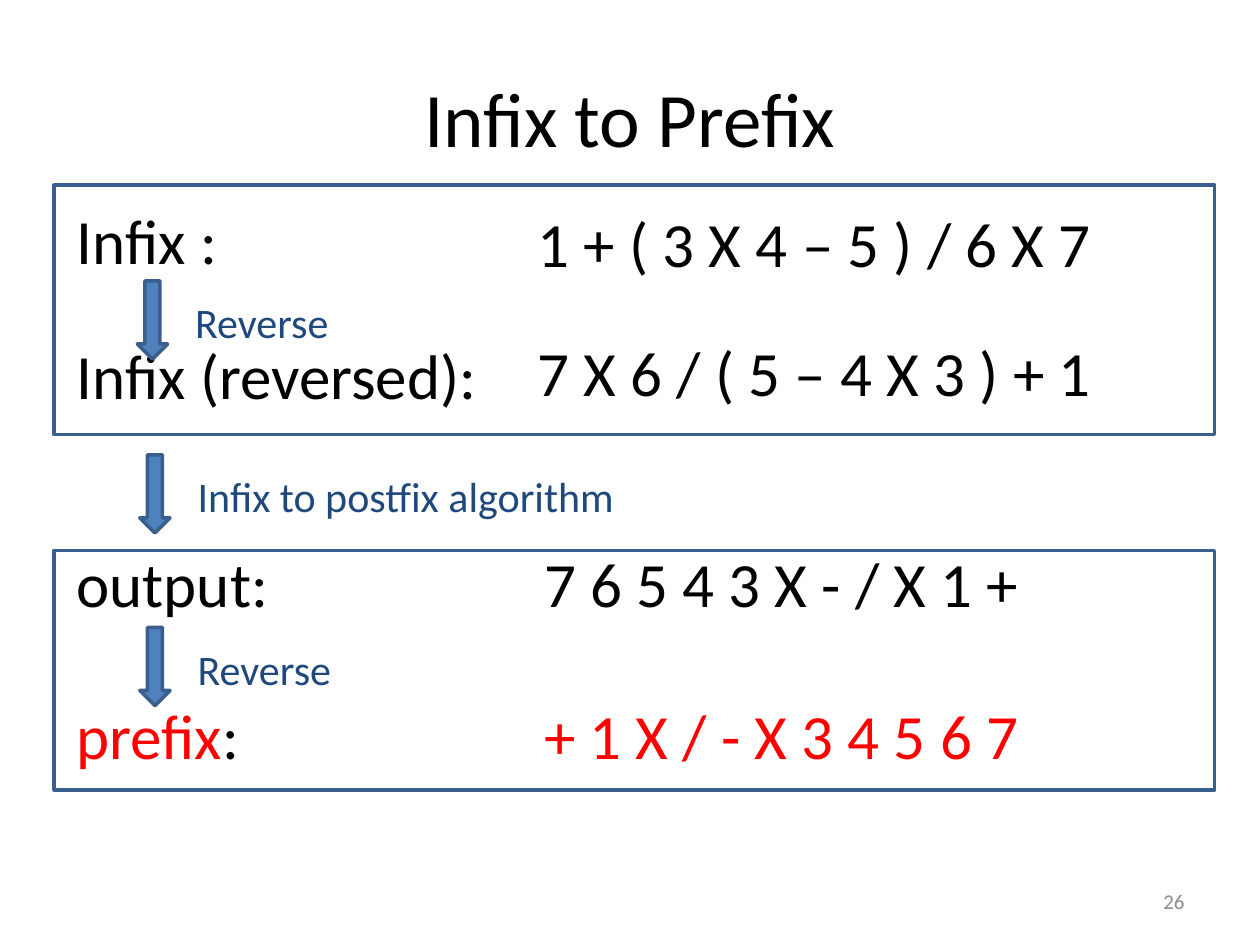
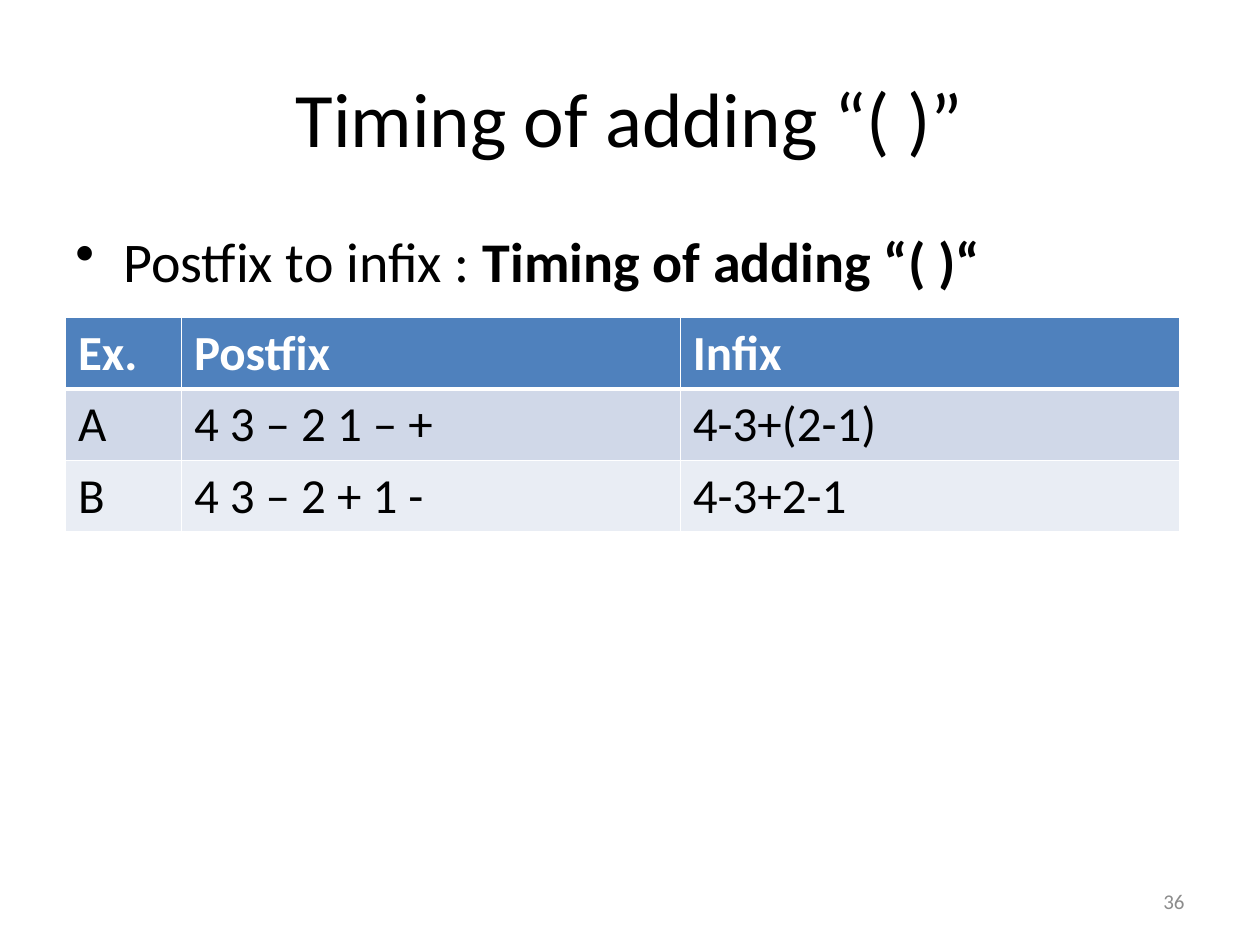
from dataclasses import dataclass

from lxml.etree import SubElement
from pptx import Presentation
from pptx.dml.color import RGBColor
from pptx.enum.shapes import MSO_SHAPE
from pptx.enum.text import MSO_ANCHOR, PP_ALIGN
from pptx.oxml.ns import qn
from pptx.util import Inches, Pt


@dataclass(frozen=True)
class Theme:
    """Colours, font and type sizes that the slides share."""
    font: str = "Calibri"
    black: str = "000000"
    white: str = "FFFFFF"
    red: str = "FF0000"
    navy: str = "1F497D"
    blue: str = "4F81BD"
    outline: str = "3A5F8C"
    grey: str = "8C8C8C"
    bands: tuple = ("D0D8E8", "E9EDF4")
    title: int = 44
    expression: int = 36
    bullet: int = 32
    cell: int = 28
    step: int = 24
    number: int = 12


THEME = Theme()


def colour(code):
    """Return the colour of a hexadecimal code."""
    return RGBColor.from_string(code)


def style(paragraph, size, code=THEME.black, bold=False):
    """Set the font of a whole paragraph."""
    font = paragraph.font
    font.name, font.size, font.bold = THEME.font, Pt(size), bold
    font.color.rgb = colour(code)


def add_text(page, box, text, size, code=THEME.black, anchor=MSO_ANCHOR.TOP):
    """Add a one-paragraph text box and return its paragraph."""
    frame = page.shapes.add_textbox(*map(Inches, box)).text_frame
    frame.word_wrap = True
    frame.vertical_anchor = anchor
    paragraph = frame.paragraphs[0]
    if text:
        paragraph.add_run().text = text
    style(paragraph, size, code)
    return paragraph


def add_outlined(page, kind, box, fill=None):
    """Add an outlined preset shape, filled only when a colour is given."""
    shape = page.shapes.add_shape(kind, *map(Inches, box))
    shape.shadow.inherit = False
    shape.line.color.rgb = colour(THEME.outline)
    shape.line.width = Pt(2)
    if fill:
        shape.fill.solid()
        shape.fill.fore_color.rgb = colour(fill)
    else:
        shape.fill.background()


def add_page(deck, title, number):
    """Add a slide with its centred title and page number."""
    page = deck.slides.add_slide(deck.slide_layouts[5])
    heading = page.shapes.title
    heading.left, heading.top, heading.width, heading.height = map(
        Inches, (0.5, 0.3, 9, 1.25))
    heading.text_frame.text = title
    heading.text_frame.vertical_anchor = MSO_ANCHOR.MIDDLE
    paragraph = heading.text_frame.paragraphs[0]
    paragraph.alignment = PP_ALIGN.CENTER
    style(paragraph, THEME.title)
    footer = add_text(page, (7.17, 6.95, 2.33, 0.4), number, THEME.number,
                      THEME.grey, MSO_ANCHOR.MIDDLE)
    footer.alignment = PP_ALIGN.RIGHT
    return page


def add_step(page, left, top, label, width=1.34):
    """Add a down arrow with the name of the step beside it."""
    add_outlined(page, MSO_SHAPE.DOWN_ARROW, (left, top, 0.24, 0.62), THEME.blue)
    add_text(page, (left + 0.36, top + 0.11, width, 0.43), label, THEME.step,
             THEME.navy, MSO_ANCHOR.MIDDLE)


def add_panel(page, box, expression_left, lines, arrow):
    """Frame two expressions, the second being the reverse of the first."""
    left, top = box[:2]
    add_outlined(page, MSO_SHAPE.RECTANGLE, box)
    for label_top, expression_top, name, expression, code in lines:
        label = add_text(page, (left + 0.08, top + label_top, 3.67, 0.71), "",
                         THEME.expression)
        span = label.add_run()
        span.text = name
        span.font.color.rgb = colour(code)
        label.add_run().text = " :" if name == "Infix" else ":"
        add_text(page, (left + expression_left, top + expression_top, 5.3, 0.71),
                 expression, THEME.expression, code)
    add_step(page, left + arrow[0], top + arrow[1], "Reverse")


def add_bullet(page, box, lead, emphasis):
    """Add a bulleted line that ends in bold."""
    paragraph = add_text(page, box, "", THEME.bullet)
    properties = paragraph._p.get_or_add_pPr()
    properties.set("marL", str(Inches(0.38)))
    properties.set("indent", str(Inches(-0.38)))
    bullet = properties.makeelement(qn("a:buChar"), {"char": "•"})
    properties.insert(0, bullet)
    paragraph.add_run().text = lead
    strong = paragraph.add_run()
    strong.text = emphasis
    strong.font.bold = True


def set_borders(cell, top, bottom):
    """Give a cell white borders, with the top and bottom widths in points."""
    properties = cell._tc.get_or_add_tcPr()
    widths = {"lnL": 1, "lnR": 1, "lnT": top, "lnB": bottom}
    for index, (side, width) in enumerate(widths.items()):
        line = properties.makeelement(qn(f"a:{side}"), {"w": str(Pt(width))})
        fill = SubElement(line, qn("a:solidFill"))
        SubElement(fill, qn("a:srgbClr"), val=THEME.white)
        properties.insert(index, line)


def add_examples(page, box, widths, rows):
    """Add a table with a blue header and banded rows."""
    table = page.shapes.add_table(len(rows), len(widths), *map(Inches, box)).table
    for column, width in zip(table.columns, widths):
        column.width = Inches(width)
    for row_index, row in enumerate(rows):
        header = row_index == 0
        band = THEME.blue if header else THEME.bands[(row_index - 1) % 2]
        for column_index, text in enumerate(row):
            cell = table.cell(row_index, column_index)
            cell.text = text
            cell.fill.solid()
            cell.fill.fore_color.rgb = colour(band)
            style(cell.text_frame.paragraphs[0], THEME.cell,
                  THEME.white if header else THEME.black, header)
            set_borders(cell, 3 if row_index == 1 else 1, 3 if header else 1)


def build_prefix_page(deck):
    """Build the slide that turns infix into prefix."""
    page = add_page(deck, "Infix to Prefix", "26")
    add_panel(page, (0.43, 1.47, 9.21, 1.98), 3.74, (
        (0.08, 0.1, "Infix", "1 + ( 3 X 4 – 5 ) / 6 X 7", THEME.black),
        (1.15, 1.13, "Infix (reversed)", "7 X 6 / ( 5 – 4 X 3 ) + 1", THEME.black),
    ), (0.66, 0.76))
    add_step(page, 1.11, 3.61, "Infix to postfix algorithm", 3.68)
    add_panel(page, (0.43, 4.37, 9.21, 1.9), 3.79, (
        (-0.1, -0.1, "output", "7 6 5 4 3 X - / X 1 +", THEME.black),
        (1.11, 1.11, "prefix", "+ 1 X / - X 3 4 5 6 7", THEME.red),
    ), (0.68, 0.61))


def build_parentheses_page(deck):
    """Build the slide on when parentheses are added."""
    page = add_page(deck, "Timing of adding “( )”", "36")
    add_bullet(page, (0.5, 1.75, 9, 0.7), "Postfix to infix : ",
               "Timing of adding “( )“")
    add_examples(page, (0.52, 2.52, 8.84, 1.65), (0.92, 3.96, 3.96), (
        ("Ex.", "Postfix", "Infix"),
        ("A", "4 3 – 2 1 – +", "4-3+(2-1)"),
        ("B", "4 3 – 2 + 1 -", "4-3+2-1"),
    ))


def main():
    """Build and save the deck."""
    deck = Presentation()
    deck.slide_width, deck.slide_height = Inches(10), Inches(7.5)
    build_prefix_page(deck)
    build_parentheses_page(deck)
    deck.save("out.pptx")


if __name__ == "__main__":
    main()
